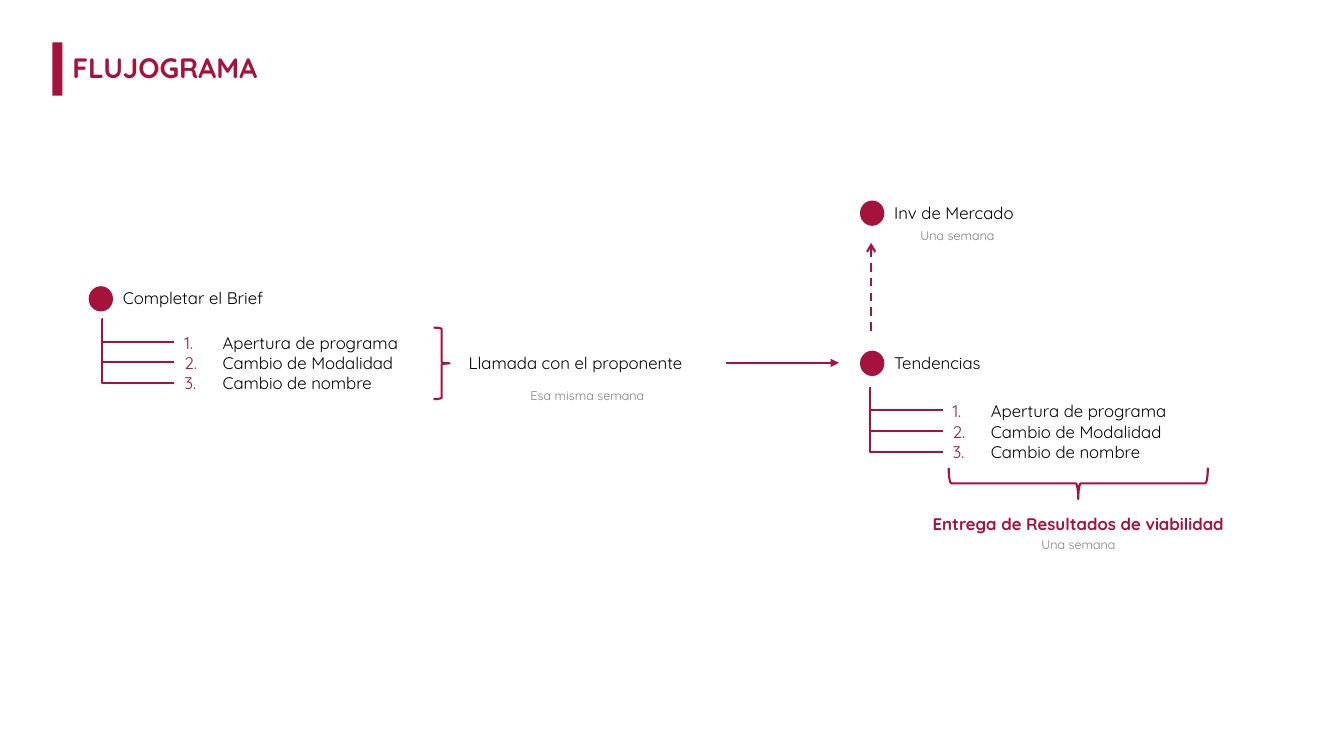
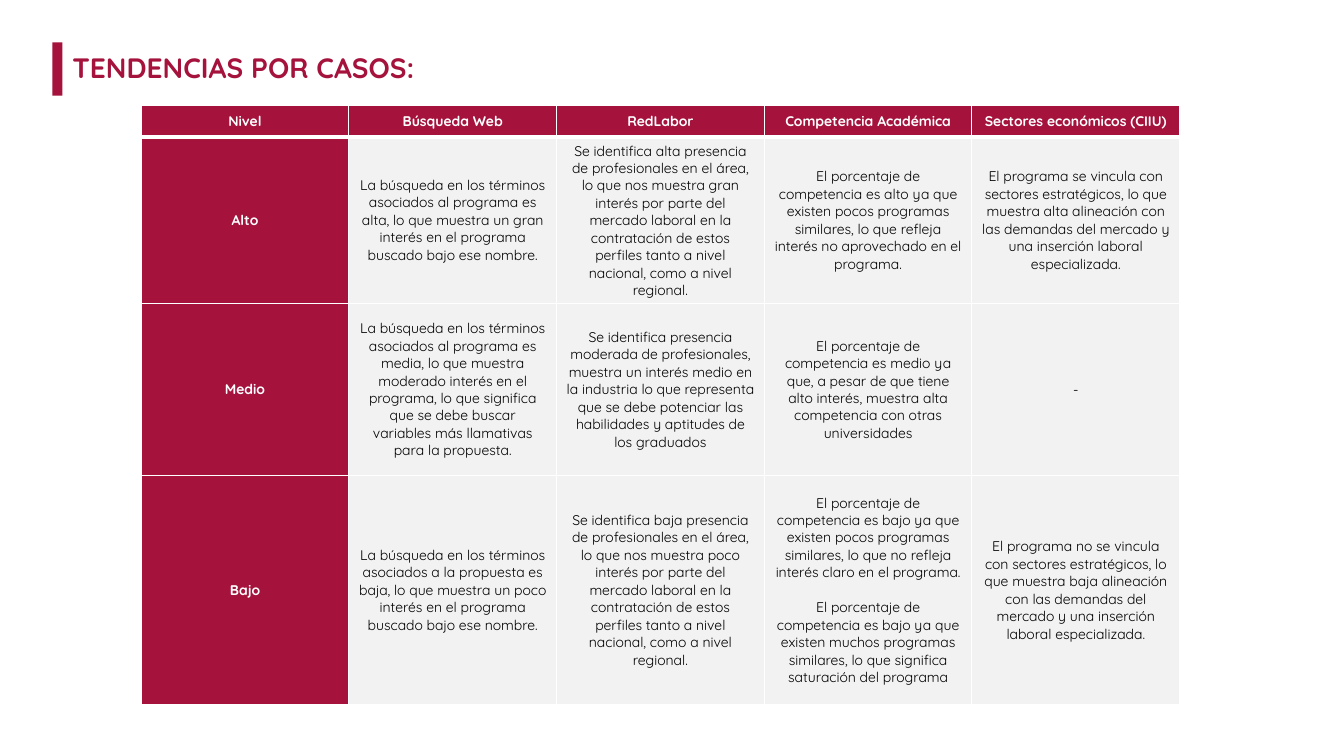
import pptx
import pptx.util
import pptx.dml.color
import pptx.enum.dml
import pptx.enum.shapes
import pptx.enum.text
import pptx.oxml
import pptx.oxml.ns

Inches = pptx.util.Inches
Pt = pptx.util.Pt
SHAPE = pptx.enum.shapes.MSO_SHAPE
CONNECTOR = pptx.enum.shapes.MSO_CONNECTOR
ALIGN = pptx.enum.text.PP_ALIGN
MIDDLE = pptx.enum.text.MSO_ANCHOR.MIDDLE
DASH = pptx.enum.dml.MSO_LINE.DASH

FONT = "Quicksand"
WINE, BLACK, GRAY, PALE, WHITE = "A5133D", "000000", "808080", "F2F2F2", "FFFFFF"


def rgb(color):
    return pptx.dml.color.RGBColor.from_string(color)


def add_xml(parent, tag, index=None, **attrs):
    el = pptx.oxml.parse_xml(f"<{tag} {pptx.oxml.ns.nsdecls('a')}/>")
    for name, value in attrs.items():
        el.set(name, str(value))
    parent.insert(len(parent) if index is None else index, el)
    return el


class Deck:
    """Hold the shared style and the slide being built."""

    def __init__(self):
        self.prs = pptx.Presentation()
        self.prs.slide_width = Inches(13.33)
        self.prs.slide_height = Inches(7.5)

    def slide(self, title):
        self.s = self.prs.slides.add_slide(self.prs.slide_layouts[6])
        sp = self.text(title, 0.62, 0.46, 5.94, 0.45, 20, WINE, bold=True)
        sp.text_frame.vertical_anchor = MIDDLE
        sp.text_frame.paragraphs[0].line_spacing = 0.9
        self.shape(SHAPE.RECTANGLE, 0.52, 0.42, 0.1, 0.53, fill=WINE)

    def format(self, tf, size, color, bold=False, align=ALIGN.LEFT):
        tf.word_wrap = True
        for p in tf.paragraphs:
            p.alignment = align
            for r in p.runs:
                r.font.name = FONT
                r.font.size = Pt(size)
                r.font.bold = bold
                r.font.color.rgb = rgb(color)

    def text(self, text, x, y, w, h=0.3, size=12, color=BLACK, bold=False, align=ALIGN.LEFT):
        sp = self.s.shapes.add_textbox(Inches(x), Inches(y), Inches(w), Inches(h))
        sp.text_frame.text = text
        self.format(sp.text_frame, size, color, bold, align)
        return sp

    def duration(self, text, x, y):
        self.text(text, x, y, 1.41, 0.25, 9, GRAY, align=ALIGN.CENTER)

    def numbered(self, items, x, y):
        sp = self.text("\n".join(items), x, y, 2.57, 0.71)
        for p in sp.text_frame.paragraphs:
            pPr = p._p.get_or_add_pPr()
            pPr.set("marL", str(Inches(0.38)))
            pPr.set("indent", str(-Inches(0.38)))
            add_xml(add_xml(pPr, "a:buClr"), "a:srgbClr", val=WINE)
            add_xml(pPr, "a:buFont", typeface="+mj-lt")
            add_xml(pPr, "a:buAutoNum", type="arabicPeriod")

    def shape(self, kind, x, y, w, h, fill=None, line=None, rotation=0):
        sp = self.s.shapes.add_shape(kind, Inches(x), Inches(y), Inches(w), Inches(h))
        sp.shadow.inherit = False
        sp.rotation = rotation
        if fill:
            sp.fill.solid()
            sp.fill.fore_color.rgb = rgb(fill)
        else:
            sp.fill.background()
        if line:
            sp.line.color.rgb = rgb(line)
            sp.line.width = Pt(1.5)
        else:
            sp.line.fill.background()

    def step(self, label, x, y, w):
        self.shape(SHAPE.OVAL, x, y, 0.22, 0.23, fill=WINE, line=WINE)
        self.text(label, x + 0.23, y - 0.04, w)

    def connector(self, x1, y1, x2, y2, kind=CONNECTOR.STRAIGHT, head=None, dash=None):
        sp = self.s.shapes.add_connector(kind, Inches(x1), Inches(y1), Inches(x2), Inches(y2))
        sp.line.color.rgb = rgb(WINE)
        sp.line.width = Pt(1.5)
        if dash:
            sp.line.dash_style = dash
        if head:
            add_xml(sp.line._get_or_add_ln(), "a:tailEnd", type=head)
        add_xml(sp._element.spPr, "a:effectLst")
        return sp

    def branches(self, items, x, y):
        for i in range(len(items)):
            sp = self.connector(x, y + 0.19 * i, x + 0.71, y + 0.22 + 0.205 * i, CONNECTOR.ELBOW)
            sp._element.spPr.prstGeom.rewrite_guides([("adj1", -1700)])
        self.numbered(items, x + 0.71, y + 0.08)

    def cell(self, cell, text, is_header, is_label):
        cell.text = text
        cell.vertical_anchor = MIDDLE
        strong = is_header or is_label
        self.format(cell.text_frame, 10, WHITE if strong else BLACK, strong, ALIGN.CENTER)
        for p in cell.text_frame.paragraphs[1:]:
            p.space_before = Pt(12.5)
        cell.fill.solid()
        cell.fill.fore_color.rgb = rgb(WINE if strong else PALE)
        tcPr = cell._tc.get_or_add_tcPr()
        for i, side in enumerate("LRTB"):
            width = 3 if is_header and side == "B" else 1
            ln = add_xml(tcPr, f"a:ln{side}", i, w=Pt(width))
            add_xml(add_xml(ln, "a:solidFill"), "a:srgbClr", val=WHITE)

    def table(self, rows, x, y, col_width, heights):
        cols = len(rows[0])
        table = self.s.shapes.add_table(
            len(rows), cols, Inches(x), Inches(y),
            Inches(col_width * cols), Inches(sum(heights))).table
        table.horz_banding = False
        for col in table.columns:
            col.width = Inches(col_width)
        for i, row in enumerate(rows):
            table.rows[i].height = Inches(heights[i])
            for j, text in enumerate(row):
                self.cell(table.cell(i, j), text, i == 0, j == 0)


CASES = ["Apertura de programa", "Cambio de Modalidad", "Cambio de nombre"]

LEVELS = [
    ["Nivel", "Búsqueda Web", "RedLabor", "Competencia Académica", "Sectores económicos (CIIU)"],
    ["Alto",
     "La búsqueda en los términos asociados al programa es alta, lo que muestra un gran "
     "interés en el programa buscado bajo ese nombre.",
     "Se identifica alta presencia de profesionales en el área, lo que nos muestra gran "
     "interés por parte del mercado laboral en la contratación de estos perfiles tanto a "
     "nivel nacional, como a nivel regional.",
     "El porcentaje de competencia es alto ya que existen pocos programas similares, lo que "
     "refleja interés no aprovechado en el programa.",
     "El programa se vincula con sectores estratégicos, lo que muestra alta alineación con "
     "las demandas del mercado y una inserción laboral especializada."],
    ["Medio",
     "La búsqueda en los términos asociados al programa es media, lo que muestra moderado "
     "interés en el programa, lo que significa que se debe buscar variables más llamativas "
     "para la propuesta.",
     "Se identifica presencia moderada de profesionales, muestra un interés medio en la "
     "industria lo que representa que se debe potenciar las habilidades y aptitudes de los "
     "graduados",
     "El porcentaje de competencia es medio ya que, a pesar de que tiene alto interés, "
     "muestra alta competencia con otras universidades",
     "-"],
    ["Bajo",
     "La búsqueda en los términos asociados a la propuesta es baja, lo que muestra un poco "
     "interés en el programa buscado bajo ese nombre.",
     "Se identifica baja presencia de profesionales en el área, lo que nos muestra poco "
     "interés por parte del mercado laboral en la contratación de estos perfiles tanto a "
     "nivel nacional, como a nivel regional.",
     "El porcentaje de competencia es bajo ya que existen pocos programas similares, lo que "
     "no refleja interés claro en el programa.\n"
     "El porcentaje de competencia es bajo ya que existen muchos programas similares, lo que "
     "significa saturación del programa",
     "El programa no se vincula con sectores estratégicos, lo que muestra baja alineación "
     "con las demandas del mercado y una inserción laboral especializada."],
]


def flowchart(deck):
    deck.slide("FLUJOGRAMA")
    deck.step("Completar el Brief", 0.89, 2.85, 1.81)
    deck.branches(CASES, 1.02, 3.17)
    deck.shape(SHAPE.RIGHT_BRACE, 4.3, 3.25, 0.16, 0.71, line=WINE)
    deck.text("Llamada con el proponente", 4.55, 3.45, 2.57)
    deck.duration("Esa misma semana", 5.12, 3.8)
    deck.connector(7.2, 3.6, 8.32, 3.6, head="triangle")
    deck.step("Tendencias", 8.54, 3.49, 1.46)
    deck.branches(CASES, 8.64, 3.85)
    deck.connector(8.64, 3.28, 8.64, 2.41, head="arrow", dash=DASH)
    deck.step("Inv de Mercado", 8.54, 2, 1.68)
    deck.duration("Una semana", 8.79, 2.21)
    deck.shape(SHAPE.LEFT_BRACE, 10.54, 3.51, 0.31, 2.57, line=WINE, rotation=270)
    deck.text("Entrega de Resultados de viabilidad", 9.1, 5.05, 3.19,
              color=WINE, bold=True, align=ALIGN.CENTER)
    deck.duration("Una semana", 9.99, 5.28)


def trends(deck):
    deck.slide("TENDENCIAS POR CASOS:")
    deck.table(LEVELS, 1.4, 1.05, 2.06, [0.31, 1.65, 1.71, 2.27])


def main():
    deck = Deck()
    flowchart(deck)
    trends(deck)
    deck.prs.save("out.pptx")


if __name__ == "__main__":
    main()
